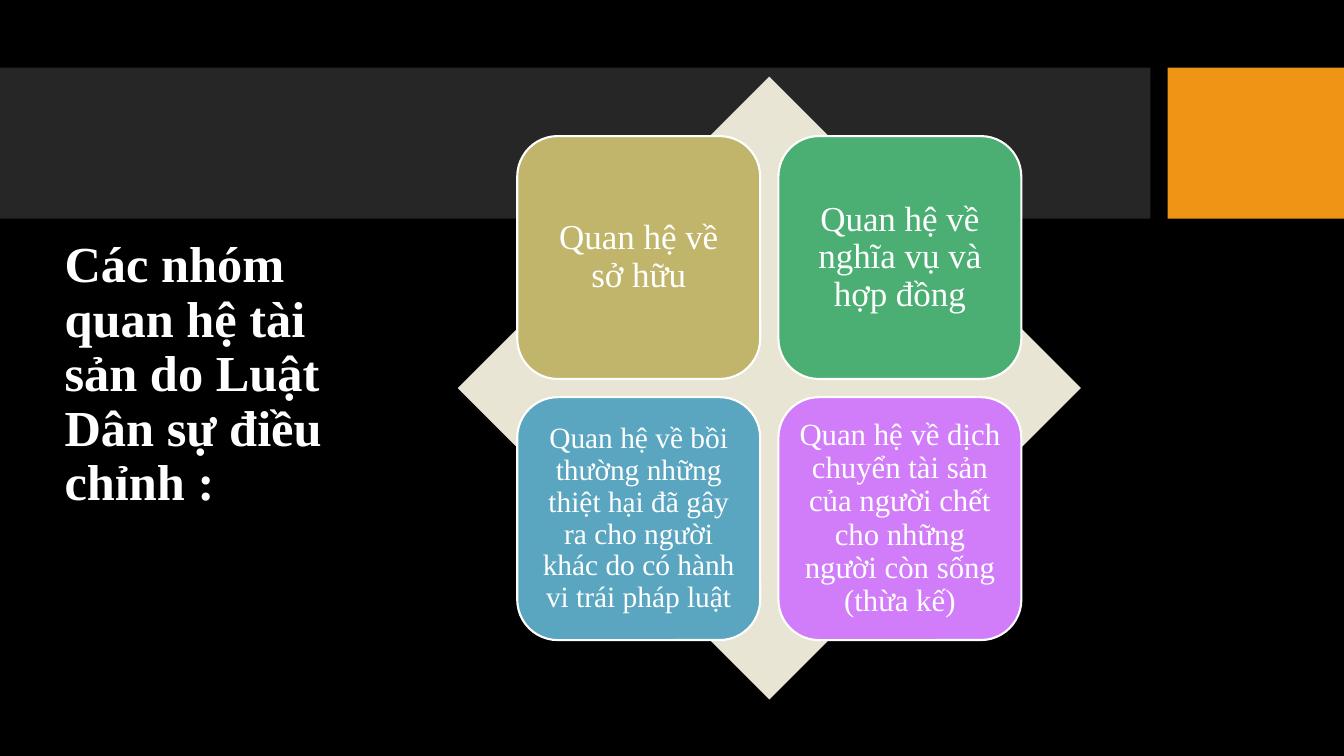
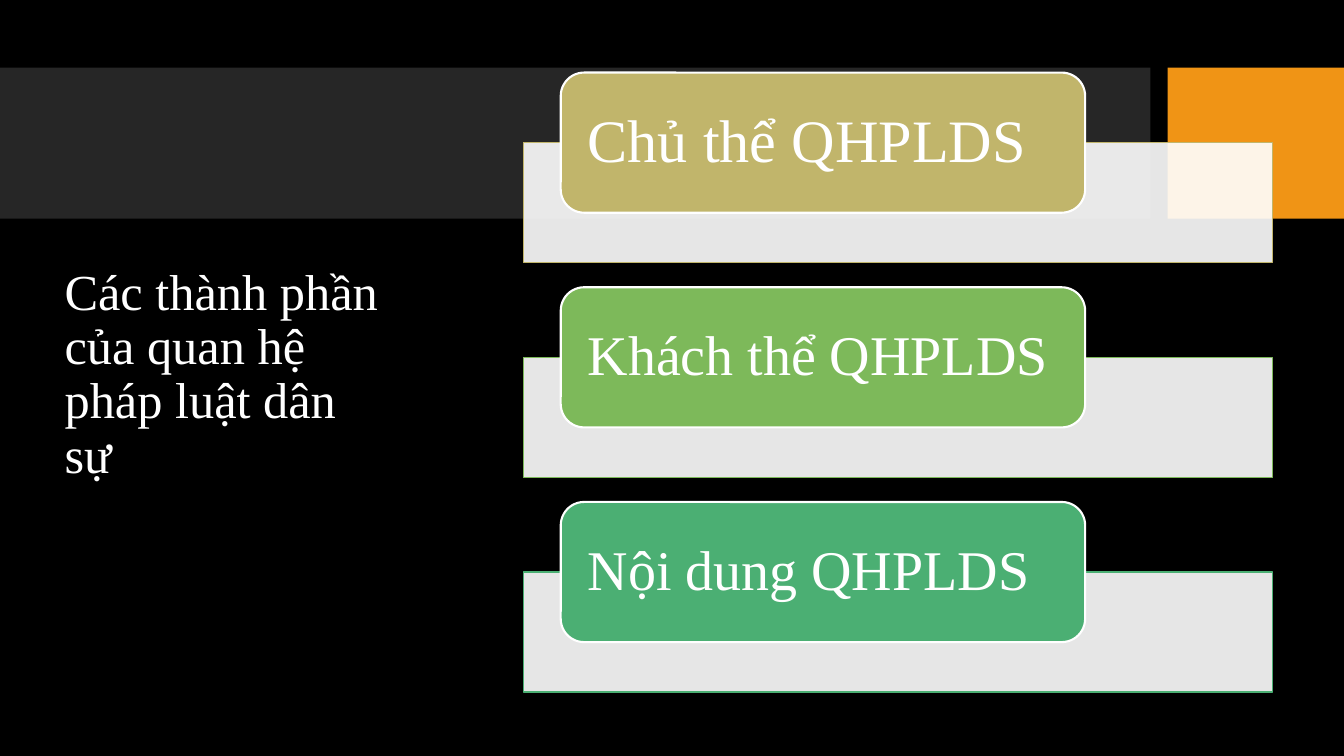
from lxml import etree
from pptx import Presentation
from pptx.dml.color import RGBColor
from pptx.enum.shapes import MSO_SHAPE
from pptx.enum.text import MSO_ANCHOR, MSO_AUTO_SIZE, PP_ALIGN
from pptx.oxml.ns import qn
from pptx.util import Inches, Pt

RECT = MSO_SHAPE.RECTANGLE
ROUND = MSO_SHAPE.ROUNDED_RECTANGLE
DIAMOND = MSO_SHAPE.DIAMOND
LEFT, CENTER = PP_ALIGN.LEFT, PP_ALIGN.CENTER
MIDDLE = MSO_ANCHOR.MIDDLE
NO_FIT = MSO_AUTO_SIZE.NONE

FONT = "Times New Roman"
COLORS = {
    "black": "000000",
    "white": "FFFFFF",
    "band": "262626",
    "orange": "F09415",
    "cream": "E9E5D4",
    "khaki": "C1B56B",
    "lime": "7DB95A",
    "green": "4BAF73",
    "blue": "5AA6C0",
    "violet": "D17DF9",
}


def rgb(name):
    return RGBColor.from_string(COLORS[name])


def add_box(s, kind, x, y, w, h, fill, line=None, line_width=1.5, alpha=None):
    sp = s.shapes.add_shape(kind, Inches(x), Inches(y), Inches(w), Inches(h))
    sp.shadow.inherit = False
    sp.fill.solid()
    sp.fill.fore_color.rgb = rgb(fill)
    if alpha is not None:
        color = sp.element.spPr.find(qn("a:solidFill"))[0]
        etree.SubElement(color, qn("a:alpha"), val=str(alpha * 1000))
    if line:
        sp.line.color.rgb = rgb(line)
        sp.line.width = Pt(line_width)
    else:
        sp.line.fill.background()
    return sp


def set_text(sp, text, size, bold=False, align=LEFT, inset=(0.1, 0.05)):
    tf = sp.text_frame
    tf.word_wrap = True
    tf.auto_size = NO_FIT
    tf.vertical_anchor = MIDDLE
    tf.margin_left = tf.margin_right = Inches(inset[0])
    tf.margin_top = tf.margin_bottom = Inches(inset[1])
    p = tf.paragraphs[0]
    p.alignment = align
    p.line_spacing = 0.9
    r = p.add_run()
    r.text = text
    r.font.name = FONT
    r.font.size = Pt(size)
    r.font.bold = bold
    r.font.color.rgb = rgb("white")


def style_master(prs, layout, s):
    master = prs.slide_master
    master.background.fill.solid()
    master.background.fill.fore_color.rgb = rgb("black")
    bands = [(0, 11.41, "band"), (11.58, 1.75, "orange")]
    for i, (x, w, fill) in enumerate(bands):
        band = add_box(s, RECT, x, 0.67, w, 1.5, fill)
        band.element.nvSpPr.cNvPr.set("id", str(100 + i))
        master.shapes.element.insert(2 + i, band.element)
    title = layout.placeholders[0]
    title.left, title.top = Inches(0.54), Inches(0.57)
    title.width, title.height = Inches(3.37), Inches(6.31)


def add_matrix(s, x, y, size, cells):
    side, gap = 2.41, 0.18
    margin = (size - 2 * side - gap) / 2
    add_box(s, DIAMOND, x, y, size, size, "cream")
    for i, (text, fill, points, inset) in enumerate(cells):
        row, col = divmod(i, 2)
        sp = add_box(s, ROUND, x + margin + col * (side + gap),
                     y + margin + row * (side + gap), side, side, fill, "white")
        set_text(sp, text, points, align=CENTER, inset=(inset, inset))


def add_tabbed_bars(s, x, y, w, rows):
    pitch, tab_h, bar_h = 2.13, 1.39, 1.19
    for i, (text, fill, points) in enumerate(rows):
        top = y + i * pitch
        add_box(s, RECT, x, top + tab_h / 2, w, bar_h, "white", fill, 1, alpha=90)
        tab = add_box(s, ROUND, x + 0.05 * w, top, 0.7 * w, tab_h, fill, "white")
        set_text(tab, text, points, inset=(0.2, 0))


def build_property_relations(s):
    set_text(s.shapes.title, "Các nhóm quan hệ tài sản do Luật Dân sự điều chỉnh :",
             36, bold=True)
    add_matrix(s, 4.54, 0.76, 6.18, [
        ("Quan hệ về sở hữu", "khaki", 25, 0.1),
        ("Quan hệ về nghĩa vụ và hợp đồng", "green", 25, 0.1),
        ("Quan hệ về bồi thường những thiệt hại đã gây ra cho người khác "
         "do có hành vi trái pháp luật", "blue", 21, 0.09),
        ("Quan hệ về dịch chuyển tài sản của người chết cho những người "
         "còn sống (thừa kế)", "violet", 22, 0.09),
    ])


def build_relation_parts(s):
    set_text(s.shapes.title, "Các thành phần của quan hệ pháp luật dân sự", 36)
    add_tabbed_bars(s, 5.19, 0.72, 7.43, [
        ("Chủ thể QHPLDS", "khaki", 43),
        ("Khách thể QHPLDS", "lime", 40),
        ("Nội dung QHPLDS", "green", 40),
    ])


def main():
    prs = Presentation()
    prs.slide_width, prs.slide_height = Inches(13.33), Inches(7.5)
    layout = prs.slide_layouts[5]
    slides = [prs.slides.add_slide(layout) for _ in range(2)]
    style_master(prs, layout, slides[0])
    build_property_relations(slides[0])
    build_relation_parts(slides[1])
    prs.save("out.pptx")


if __name__ == "__main__":
    main()
